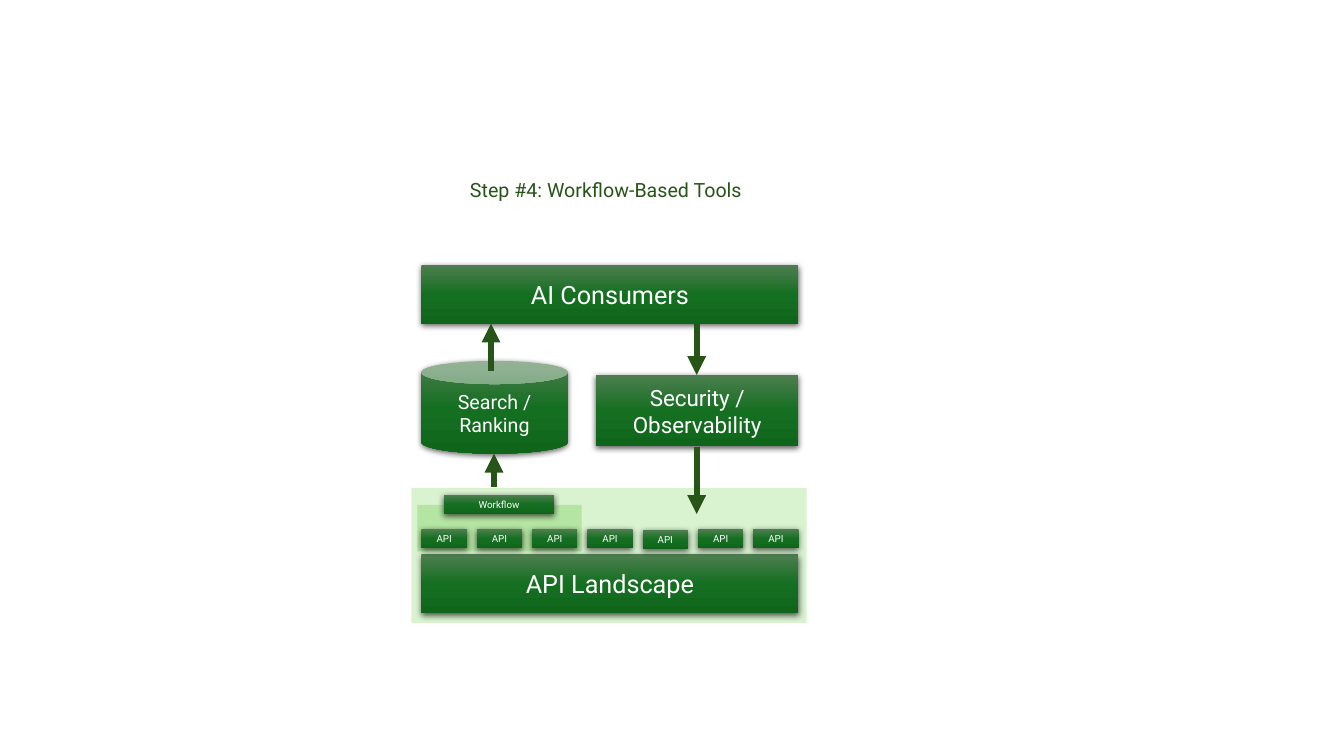
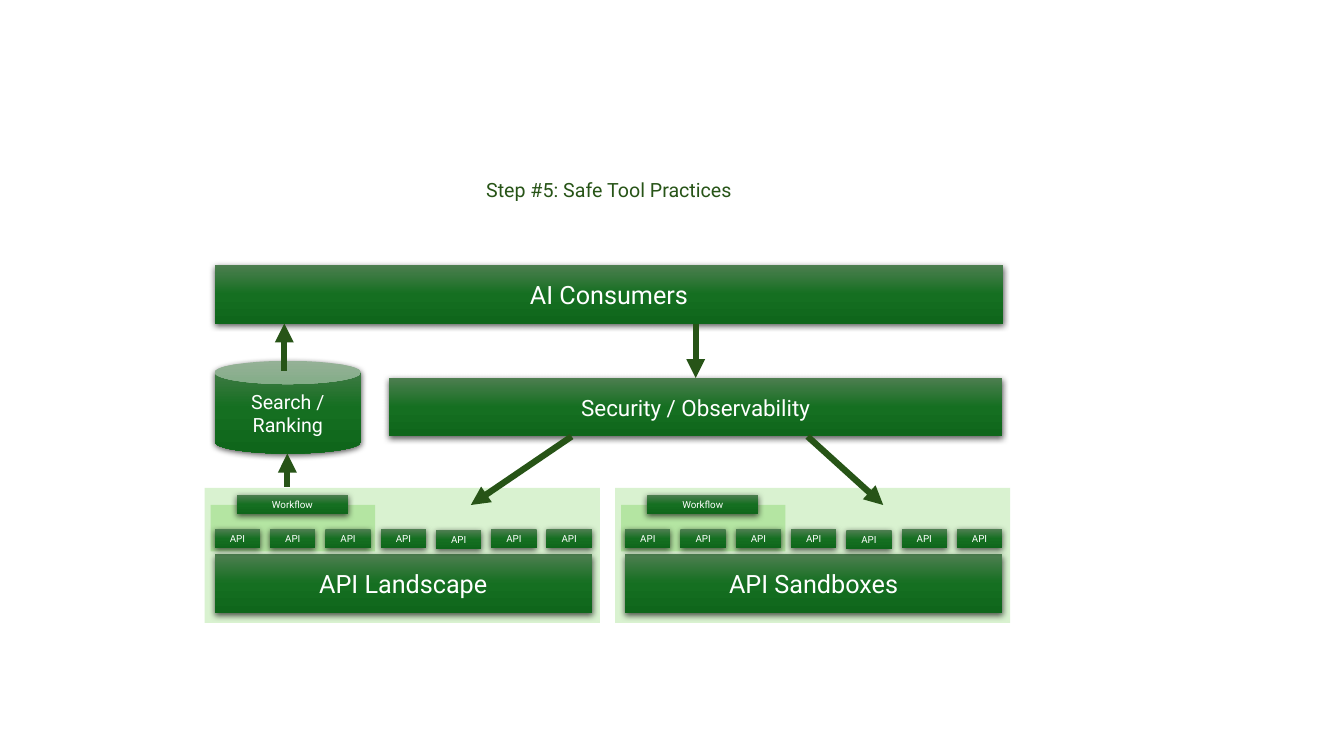
"""Build two slides on tool architecture as layered box diagrams."""
from copy import deepcopy

from lxml import etree
from pptx import Presentation
from pptx.dml.color import RGBColor
from pptx.enum import shapes, text
from pptx.oxml import ns
from pptx.util import Inches, Pt

FONT = "Roboto"
WHITE, INK = "FFFFFF", "275417"
ZONE, GROUP = "D9F2D0", "B4E5A2"
GRADIENT = [(0, "4D7E50"), (0.5, "156F21"), (1, "0F661B")]
RECT, CAN = shapes.MSO_SHAPE.RECTANGLE, shapes.MSO_SHAPE.CAN

BAR_HEIGHT, CHIP_HEIGHT = 0.58, 0.19
CONSUMERS_TOP = 2.63
CONSUMERS_BOTTOM = CONSUMERS_TOP + BAR_HEIGHT
PLATFORM_WIDTH, API_WIDTH = 3.74, 0.45
API_TOPS = [5.25, 5.25, 5.25, 5.25, 5.26, 5.25, 5.25]

SLIDES = [
    {
        "title": "Step #4: Workflow-Based Tools",
        "title_span": (4.15, 3.72),
        "consumers_span": (4.18, 3.74),
        "platforms": [(4.18, "API Landscape")],
        "security": (5.91, 3.72, 2.01, 0.71),
        "arrows": [((6.91, 4.43), (6.91, 5.1)),
                   ((6.91, CONSUMERS_BOTTOM), (6.91, 3.72))],
    },
    {
        "title": "Step #5: Safe Tool Practices",
        "title_span": (2.13, 7.82),
        "consumers_span": (2.13, 7.82),
        "platforms": [(2.13, "API Landscape"), (6.2, "API Sandboxes")],
        "security": (3.86, 3.75, 6.08, BAR_HEIGHT),
        "arrows": [((5.67, 4.33), (4.67, 5.01)),
                   ((8.01, 4.33), (8.76, 5.01)),
                   ((6.9, CONSUMERS_BOTTOM), (6.9, 3.75))],
    },
]


def rgb(value):
    """Turn a hex string into a colour."""
    return RGBColor.from_string(value)


def inches(values):
    """Turn a series of numbers into lengths."""
    return [Inches(value) for value in values]


def child(parent, tag, **attributes):
    """Append a drawing element with its attributes."""
    return etree.SubElement(parent, ns.qn(tag), attributes)


def write(frame, lines, size, colour):
    """Write centred lines into one paragraph."""
    frame.word_wrap = True
    paragraph = frame.paragraphs[0]
    paragraph.alignment = text.PP_ALIGN.CENTER
    for index, line in enumerate(lines):
        if index:
            paragraph.add_line_break()
        run = paragraph.add_run()
        run.text = line
        run.font.name, run.font.size = FONT, Pt(size)
        run.font.color.rgb = rgb(colour)


def panel(slide, place, colour):
    """Draw a flat background panel."""
    area = slide.shapes.add_shape(RECT, *inches(place))
    area.shadow.inherit = False
    area.fill.solid()
    area.fill.fore_color.rgb = rgb(colour)
    area.line.fill.background()


def block(slide, place, lines, size, kind=RECT):
    """Draw a labelled block with the green gradient and a soft shadow."""
    box = slide.shapes.add_shape(kind, *inches(place))
    box.line.fill.background()
    box.fill.gradient()
    box.fill.gradient_angle = 270
    properties = box._element.spPr
    stops = properties.find(".//" + ns.qn("a:gsLst"))
    stops.append(deepcopy(stops[0]))
    for stop, (position, colour) in zip(box.fill.gradient_stops, GRADIENT):
        stop.position = position
        stop.color.rgb = rgb(colour)
    box.shadow.inherit = False
    shadow = child(properties.find(ns.qn("a:effectLst")), "a:outerShdw",
                   blurRad=str(Pt(4.5)), dist=str(Pt(1.5)), dir="5400000",
                   algn="ctr", rotWithShape="0")
    child(child(shadow, "a:srgbClr", val="000000"), "a:alpha", val="63000")
    box.text_frame.vertical_anchor = text.MSO_ANCHOR.MIDDLE
    write(box.text_frame, lines, size, WHITE)


def arrow(slide, start, end):
    """Draw a thick arrow from start to end."""
    link = slide.shapes.add_connector(
        shapes.MSO_CONNECTOR.STRAIGHT, *inches(start + end))
    link.line.width = Pt(4.5)
    link.line.color.rgb = rgb(INK)
    child(link.line._get_or_add_ln(), "a:tailEnd", type="triangle")
    child(link._element.spPr, "a:effectLst")


def platform(slide, left, label):
    """Draw a platform bar with its API row and workflow."""
    panel(slide, (left - 0.1, 4.84, 3.92, 1.34), ZONE)
    panel(slide, (left - 0.04, 5.01, 1.63, 0.46), GROUP)
    block(slide, (left, 5.5, PLATFORM_WIDTH, BAR_HEIGHT), [label], 18)
    pitch = (PLATFORM_WIDTH - API_WIDTH) / (len(API_TOPS) - 1)
    for index, top in enumerate(API_TOPS):
        place = (left + index * pitch, top, API_WIDTH, CHIP_HEIGHT)
        block(slide, place, ["API"], 7)
    block(slide, (left + 0.22, 4.91, 1.1, CHIP_HEIGHT), ["Workflow"], 7)


def build(slide, content):
    """Draw one architecture diagram."""
    for left, label in content["platforms"]:
        platform(slide, left, label)
    left, width = content["consumers_span"]
    block(slide, (left, 3.58, 1.45, 0.92), ["Search /", "Ranking"], 14, CAN)
    block(slide, content["security"], ["Security / Observability"], 16)
    block(slide, (left, CONSUMERS_TOP, width, BAR_HEIGHT),
          ["AI Consumers"], 18)
    search_arrows = [((left + 0.69, 3.68), (left + 0.69, CONSUMERS_BOTTOM)),
                     ((left + 0.72, 4.83), (left + 0.72, 4.5))]
    for start, end in content["arrows"] + search_arrows:
        arrow(slide, start, end)
    left, width = content["title_span"]
    title = slide.shapes.add_textbox(*inches((left, 1.72, width, 0.34)))
    write(title.text_frame, [content["title"]], 14, INK)


def main():
    """Build and save the presentation."""
    deck = Presentation()
    deck.slide_width, deck.slide_height = inches((13.33, 7.5))
    for content in SLIDES:
        build(deck.slides.add_slide(deck.slide_layouts[6]), content)
    deck.save("out.pptx")


if __name__ == "__main__":
    main()
